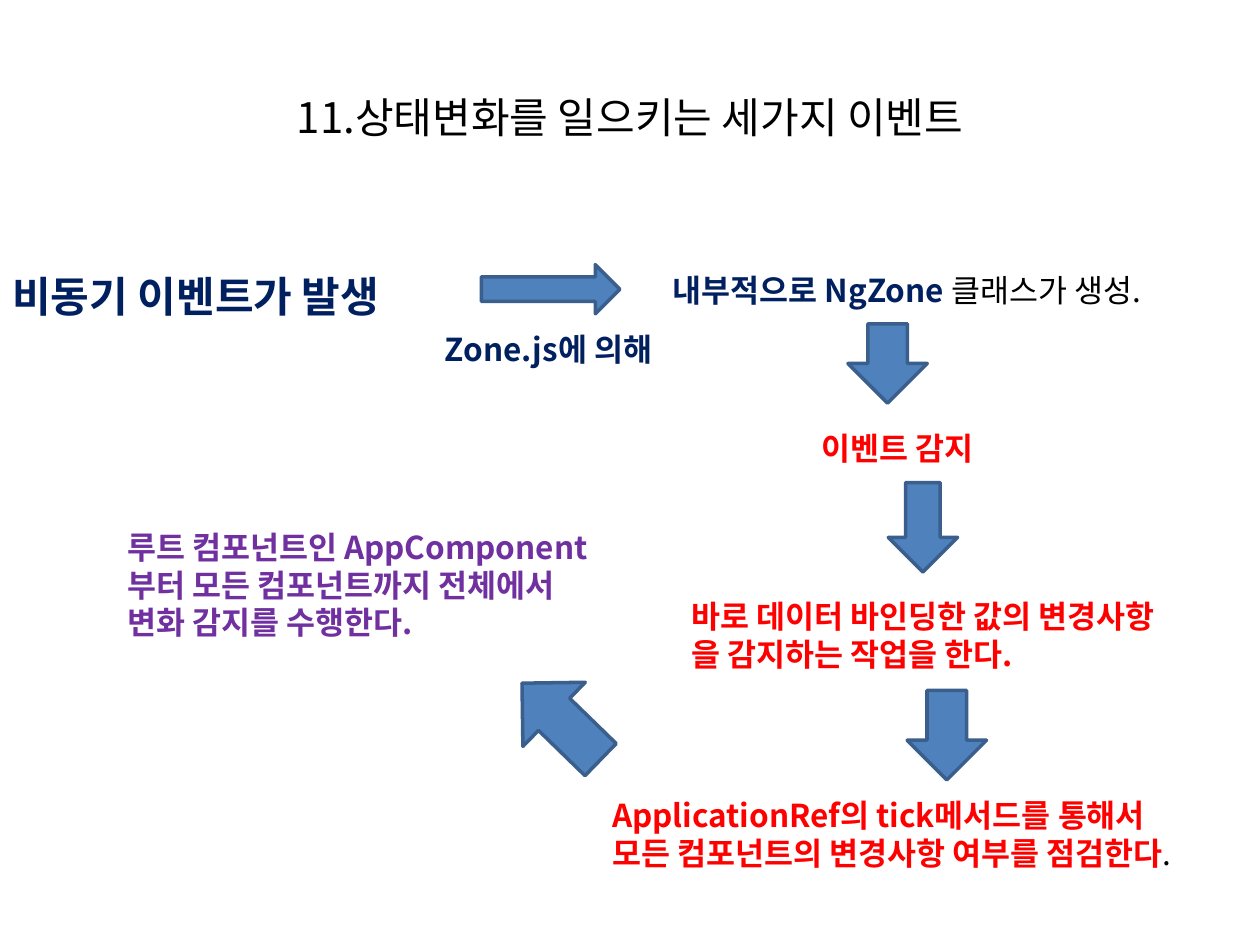
from lxml import etree
from pptx import Presentation
from pptx.dml.color import RGBColor
from pptx.enum import shapes, text
from pptx.oxml import ns
from pptx.util import Inches, Pt

FONT = "Noto Sans CJK KR"
COLORS = {
    "black": "000000", "navy": "002060", "red": "FF0000", "purple": "7030A0",
    "arrow": "4F81BD", "outline": "3A5F8C",
}
TITLE = "11.상태변화를 일으키는 세가지 이벤트"
STEPS = [
    ((0, 2.1, 3.47, 0.5), 24, "navy", [("비동기 이벤트가 발생", "")]),
    ((5.24, 2.1, 4.27, 0.4), 18, "navy", [("내부적으로 NgZone ", "클래스가 생성.")]),
    ((3.43, 2.57, 1.91, 0.4), 18, "navy", [("Zone.js에 의해", "")]),
    ((6.42, 3.36, 1.55, 0.4), 18, "red", [("이벤트 감지", "")]),
    ((5.39, 4.69, 4.35, 0.71), 18, "red", [
        ("바로 데이터 바인딩한 값의 변경사항", ""),
        ("을 감지하는 작업을 한다.", "")]),
    ((4.76, 6.27, 5.16, 0.71), 18, "red", [
        ("ApplicationRef의 tick메서드를 통해서", ""),
        ("모든 컴포넌트의 변경사항 여부를 점검한다", ".")]),
    ((0.91, 4.14, 4.05, 1.01), 18, "purple", [
        ("루트 컴포넌트인 AppComponent", ""),
        ("부터 모든 컴포넌트까지 전체에서", ""),
        ("변화 감지를 수행한다.", "")]),
]
RIGHT, DOWN = shapes.MSO_SHAPE.RIGHT_ARROW, shapes.MSO_SHAPE.DOWN_ARROW
ARROWS = [
    (RIGHT, (3.82, 2.1, 1.1, 0.39), 0),
    (DOWN, (6.73, 2.57, 0.63, 0.63), 0),
    (DOWN, (7.05, 3.83, 0.55, 0.71), 0),
    (DOWN, (7.2, 5.48, 0.63, 0.71), 0),
    (RIGHT, (4.02, 5.37, 0.87, 0.71), 224.2),
]


def rgb(name):
    return RGBColor.from_string(COLORS[name])


def add_run(paragraph, words, size, color, bold):
    run = paragraph.add_run()
    run.text = words
    run.font.size = Pt(size)
    run.font.name = FONT
    run.font.bold = bold
    run.font.color.rgb = rgb(color)
    east_asian = etree.Element(ns.qn("a:ea"), typeface=FONT)
    run.font._element.find(ns.qn("a:latin")).addnext(east_asian)


def add_box(slide, box, size, color, lines, bold=True):
    frame = slide.shapes.add_textbox(*map(Inches, box)).text_frame
    frame.word_wrap = False
    frame.auto_size = text.MSO_AUTO_SIZE.SHAPE_TO_FIT_TEXT
    for i, (lead, tail) in enumerate(lines):
        paragraph = frame.paragraphs[0] if i == 0 else frame.add_paragraph()
        add_run(paragraph, lead, size, color, bold)
        if tail:
            add_run(paragraph, tail, size, "black", False)
    return frame


def add_arrow(slide, kind, box, angle):
    arrow = slide.shapes.add_shape(kind, *map(Inches, box))
    arrow.rotation = angle
    arrow.shadow.inherit = False
    arrow.fill.solid()
    arrow.fill.fore_color.rgb = rgb("arrow")
    arrow.line.color.rgb = rgb("outline")
    arrow.line.width = Pt(2)


def main():
    deck = Presentation()
    deck.slide_width, deck.slide_height = Inches(10), Inches(7.5)
    slide = deck.slides.add_slide(deck.slide_layouts[6])

    heading = add_box(slide, (0.5, 0.3, 9, 1.25), 24, "black", [(TITLE, "")], bold=False)
    heading.word_wrap = True
    heading.auto_size = text.MSO_AUTO_SIZE.NONE
    heading.vertical_anchor = text.MSO_ANCHOR.MIDDLE
    heading.paragraphs[0].alignment = text.PP_ALIGN.CENTER

    for step in STEPS:
        add_box(slide, *step)
    for arrow in ARROWS:
        add_arrow(slide, *arrow)
    deck.save("out.pptx")


if __name__ == "__main__":
    main()
